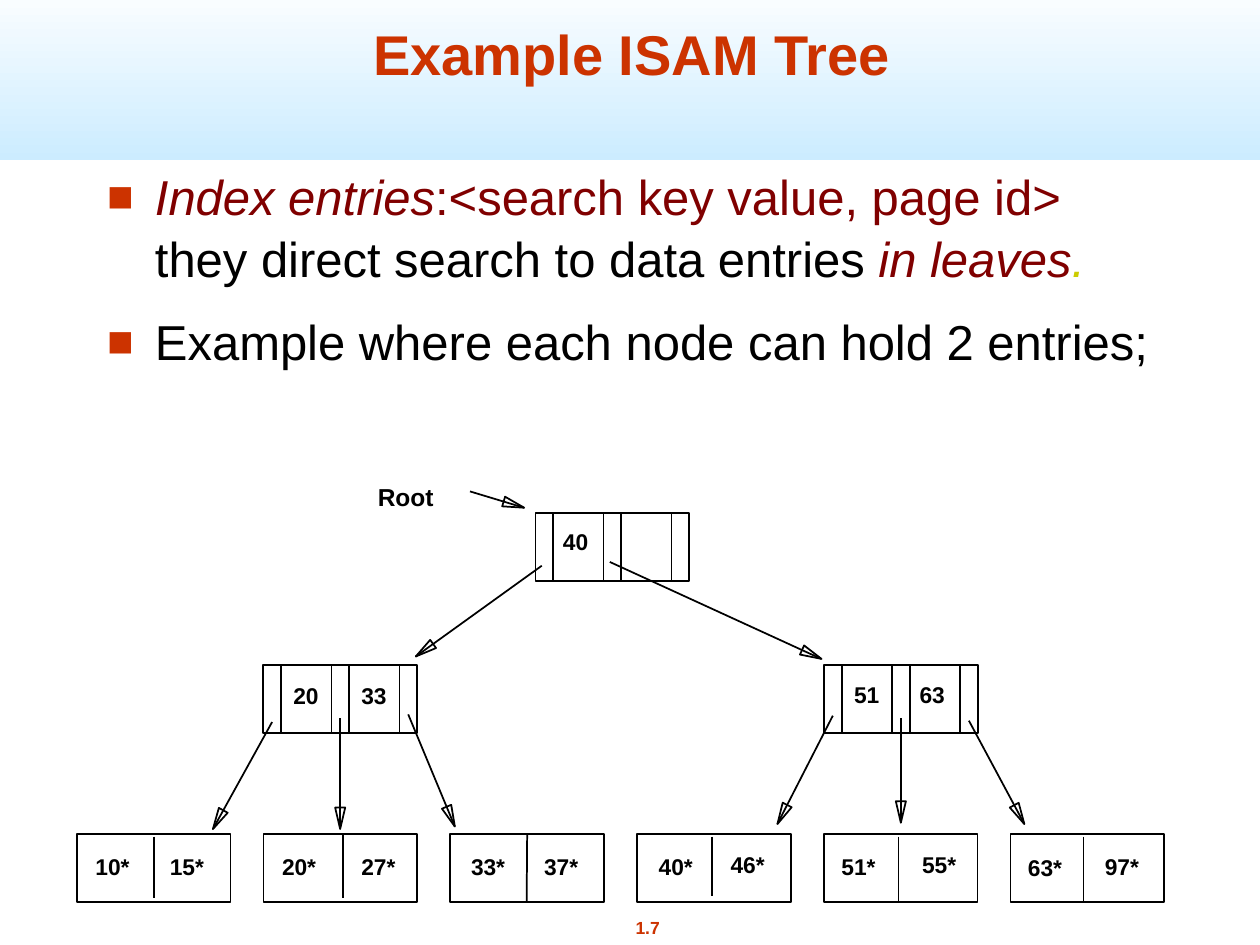
import math
import lxml.etree
import pptx
import pptx.dml.color
import pptx.enum.shapes
import pptx.enum.text
import pptx.oxml.ns
import pptx.util

Inches = pptx.util.Inches
ALIGN = pptx.enum.text.PP_ALIGN
RED, MAROON, YELLOW, BLACK = "CC3300", "800000", "CCCC00", "000000"
NODE_WIDTH, NODE_HEIGHT = 1.22, 0.54
LEAF_TOP, LEAF_PITCH = 6.62, 7.41 / 5
HEAD_LENGTH, HEAD_HALF_WIDTH = 0.17, 0.04


def color(value):
    return pptx.dml.color.RGBColor.from_string(value)


def add_span(para, text, size=13, tint=BLACK, bold=False, italic=False):
    span = para.add_run()
    span.text = text
    span.font.name = "Arial"
    span.font.size = pptx.util.Pt(size)
    span.font.color.rgb = color(tint)
    span.font.bold = bold
    span.font.italic = italic


def place(box, left, top, width, height):
    box.left, box.top = Inches(left), Inches(top)
    box.width, box.height = Inches(width), Inches(height)


def add_label(shapes, text, left, top, width=0.47, height=0.32, align=ALIGN.LEFT, **style):
    box = shapes.add_textbox(Inches(left), Inches(top), Inches(width), Inches(height))
    box.text_frame.word_wrap = False
    para = box.text_frame.paragraphs[0]
    para.alignment = align
    add_span(para, text, bold=True, **style)


def outline(shape):
    shape.shadow.inherit = False
    shape.fill.background()
    shape.line.color.rgb = color(BLACK)
    shape.line.width = pptx.util.Pt(1)


def add_line(shapes, x1, y1, x2, y2):
    line = shapes.add_connector(
        pptx.enum.shapes.MSO_CONNECTOR.STRAIGHT,
        Inches(x1), Inches(y1), Inches(x2), Inches(y2))
    line.line.color.rgb = color(BLACK)
    line.line.width = pptx.util.Pt(1)
    properties = line.element.find(pptx.oxml.ns.qn("p:spPr"))
    lxml.etree.SubElement(properties, pptx.oxml.ns.qn("a:effectLst"))
    return line


def add_arrow(shapes, x1, y1, x2, y2):
    add_line(shapes, x1, y1, x2, y2)
    length = math.hypot(x2 - x1, y2 - y1)
    dx, dy = (x2 - x1) / length, (y2 - y1) / length
    base_x, base_y = x2 - HEAD_LENGTH * dx, y2 - HEAD_LENGTH * dy
    corners = [(base_x + side * dy, base_y - side * dx)
               for side in (HEAD_HALF_WIDTH, -HEAD_HALF_WIDTH)]
    builder = shapes.build_freeform(Inches(x2), Inches(y2), scale=1.0)
    builder.add_line_segments([(Inches(x), Inches(y)) for x, y in corners], close=True)
    outline(builder.convert_to_shape())


def add_node(shapes, left, top):
    node = shapes.add_shape(
        pptx.enum.shapes.MSO_SHAPE.RECTANGLE,
        Inches(left), Inches(top), Inches(NODE_WIDTH), Inches(NODE_HEIGHT))
    outline(node)
    return node


def add_index_node(shapes, left, top, keys):
    add_node(shapes, left, top)
    for offset in (0.14, 0.54, 0.68, 1.08):
        add_line(shapes, left + offset, top, left + offset, top + NODE_HEIGHT)
    for key, x, y in keys:
        add_label(shapes, key, x, y, width=0.4)


def add_leaf(shapes, left, divider, entries):
    node = add_node(shapes, left, LEAF_TOP)
    x, top, bottom = divider
    line = add_line(shapes, x, top, x, bottom)
    middle = left + NODE_WIDTH / 2
    if top == LEAF_TOP and abs(x - middle) < 0.01:
        line.begin_connect(node, 0)
    for entry, label_x, label_y in entries:
        add_label(shapes, entry, label_x, label_y)


def add_band(page):
    band = page.shapes.add_shape(
        pptx.enum.shapes.MSO_SHAPE.RECTANGLE,
        Inches(0), Inches(-0.17), Inches(10), Inches(1.44))
    band.shadow.inherit = False
    band.line.fill.background()
    band.fill.gradient()
    band.fill.gradient_angle = 270
    for stop, position, tint in zip(band.fill.gradient_stops, (0, 1), ("FFFFFF", "CCECFF")):
        stop.position = position
        stop.color.rgb = color(tint)
    page.shapes.title.element.addprevious(band.element)


def fill_title(box, text):
    place(box, 0.6, 0.07, 8.83, 0.67)
    box.text_frame.auto_size = pptx.enum.text.MSO_AUTO_SIZE.NONE
    box.text_frame.vertical_anchor = pptx.enum.text.MSO_ANCHOR.BOTTOM
    para = box.text_frame.paragraphs[0]
    para.alignment = ALIGN.CENTER
    add_span(para, text, size=32, tint=RED, bold=True)


def set_bullet(para):
    properties = para._p.get_or_add_pPr()
    properties.set("marL", str(Inches(0.38)))
    properties.set("indent", str(Inches(-0.38)))
    qn = pptx.oxml.ns.qn
    tint = lxml.etree.SubElement(properties, qn("a:buClr"))
    lxml.etree.SubElement(tint, qn("a:srgbClr"), val=RED)
    lxml.etree.SubElement(properties, qn("a:buSzPct"), val="90000")
    lxml.etree.SubElement(properties, qn("a:buFont"), typeface="Arial")
    lxml.etree.SubElement(properties, qn("a:buChar"), char="■")


def fill_body(box, items):
    place(box, 0.75, 1.25, 8.5, 2)
    frame = box.text_frame
    frame.auto_size = pptx.enum.text.MSO_AUTO_SIZE.NONE
    for index, spans in enumerate(items):
        para = frame.add_paragraph() if index else frame.paragraphs[0]
        para.line_spacing = 1.05
        para.space_before = pptx.util.Pt(12.2)
        set_bullet(para)
        for text, tint, italic in spans:
            add_span(para, text, size=28, tint=tint, italic=italic)


def add_tree(shapes):
    leaves = [
        ((1.22, 6.64, 7.13), [("10*", 0.66, 6.72), ("15*", 1.25, 6.72)]),
        ((2.72, 6.62, 7.13), [("20*", 2.14, 6.72), ("27*", 2.77, 6.72)]),
        ((4.18, 6.62, 7.15), [("33*", 3.64, 6.72), ("37*", 4.22, 6.72)]),
        ((5.65, 6.64, 7.11), [("40*", 5.13, 6.72), ("46*", 5.7, 6.7)]),
        ((7.13, 6.64, 7.15), [("51*", 6.58, 6.72), ("55*", 7.22, 6.7)]),
        ((8.6, 6.64, 7.15), [("63*", 8.06, 6.73), ("97*", 8.67, 6.72)]),
    ]
    for index, (divider, entries) in enumerate(leaves):
        add_leaf(shapes, 0.61 + index * LEAF_PITCH, divider, entries)
    add_index_node(shapes, 2.09, 5.28, [("20", 2.23, 5.36), ("33", 2.77, 5.36)])
    add_index_node(shapes, 6.54, 5.28, [("51", 6.68, 5.35), ("63", 7.2, 5.35)])
    add_index_node(shapes, 4.25, 4.07, [("40", 4.37, 4.14)])
    for ends in [
        (4.3, 4.49, 3.3, 5.21), (4.84, 4.46, 6.52, 5.23),
        (2.16, 5.73, 1.69, 6.58), (2.7, 5.7, 2.7, 6.58), (3.24, 5.67, 3.61, 6.56),
        (6.61, 5.68, 6.17, 6.54), (7.15, 5.7, 7.15, 6.53), (7.69, 5.72, 8.13, 6.54),
        (3.73, 3.9, 4.16, 4.03),
    ]:
        add_arrow(shapes, *ends)
    add_label(shapes, "Root", 2.9, 3.78, width=0.65, height=0.33, size=14)


def main():
    deck = pptx.Presentation()
    deck.slide_width, deck.slide_height = Inches(10), Inches(7.5)
    page = deck.slides.add_slide(deck.slide_layouts[1])
    add_band(page)
    fill_title(page.shapes.title, "Example ISAM Tree")
    fill_body(page.placeholders[1], [
        [("Index entries", MAROON, True),
         (":<search key value, page id> ", MAROON, False),
         ("they direct search to data entries ", BLACK, False),
         ("in leaves", MAROON, True),
         (".", YELLOW, True)],
        [("Example where each node can hold 2 entries;", BLACK, False)],
    ])
    add_label(page.shapes, "1.7", 4.65, 7.23, width=0.98, height=0.27,
              align=ALIGN.CENTER, size=10, tint=RED)
    add_tree(page.shapes.add_group_shape().shapes)
    deck.save("out.pptx")


if __name__ == "__main__":
    main()
